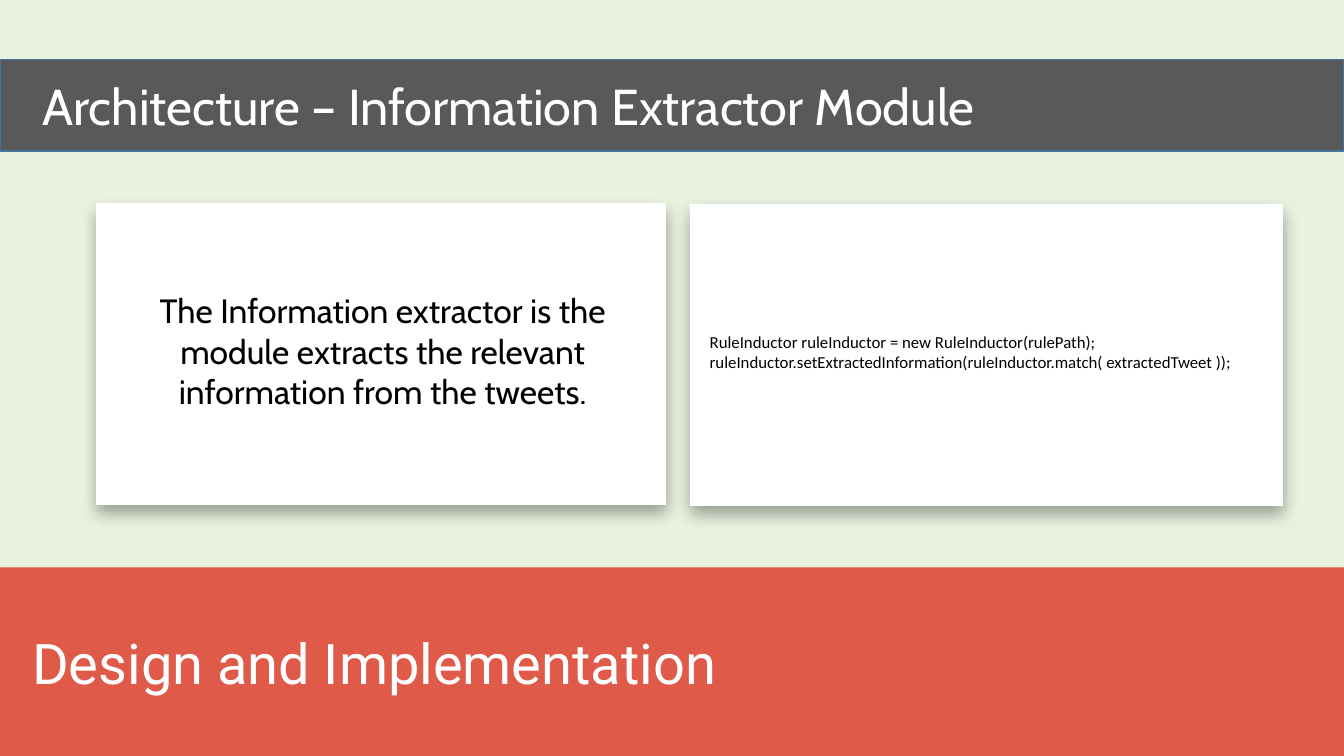
from lxml import etree
from pptx import Presentation
from pptx.dml.color import RGBColor
from pptx.enum.shapes import MSO_SHAPE as Preset
from pptx.enum.text import MSO_ANCHOR as Anchor, PP_ALIGN as Align
from pptx.oxml.ns import qn
from pptx.util import Inches, Pt

PALE_GREEN = RGBColor(0xE9, 0xF1, 0xDF)
CORAL = RGBColor(0xDF, 0x5A, 0x49)
GREY = RGBColor(0x59, 0x59, 0x59)
BLUE = RGBColor(0x43, 0x73, 0x9E)
WHITE = RGBColor(0xFF, 0xFF, 0xFF)
BLACK = RGBColor(0x00, 0x00, 0x00)


def add_rect(shapes, left, top, width, height, fill, line=None, weight=1):
    box = shapes.add_shape(Preset.RECTANGLE, Inches(left), Inches(top),
                           Inches(width), Inches(height))
    box.shadow.inherit = False
    box.fill.solid()
    box.fill.fore_color.rgb = fill
    if line is None:
        box.line.fill.background()
    else:
        box.line.color.rgb = line
        box.line.width = Pt(weight)
    return box


def write(box, lines, font, size, color, align=Align.LEFT, indent=0.1):
    frame = box.text_frame
    settings = {"word_wrap": True, "vertical_anchor": Anchor.MIDDLE,
                "margin_left": Inches(indent), "margin_right": Inches(0.1),
                "margin_top": Inches(0.05), "margin_bottom": Inches(0.05)}
    for name, value in settings.items():
        setattr(frame, name, value)
    for index, line in enumerate(lines):
        para = frame.add_paragraph() if index else frame.paragraphs[0]
        para.alignment = align
        span = para.add_run()
        span.text = line
        for name, value in {"name": font, "size": Pt(size)}.items():
            setattr(span.font, name, value)
        span.font.color.rgb = color


deck = Presentation()
deck.slide_width, deck.slide_height = Inches(13.33), Inches(7.5)
page = deck.slides.add_slide(deck.slide_layouts[6])
page.background.fill.solid()
page.background.fill.fore_color.rgb = PALE_GREEN

# Footer and title bands
footer = add_rect(page.shapes, 0, 5.63, 13.33, 1.87, CORAL)
write(footer, ["Design and Implementation"], "Roboto", 40, WHITE, indent=0.32)
title = add_rect(page.shapes, 0, 0.59, 13.33, 0.91, GREY, BLUE)
write(title, ["Architecture – Information Extractor Module"],
      "Cabin", 36, WHITE, indent=0.42)

# Cards: left, top, width, lines, font, size, alignment
cards = [
    (0.96, 2.02, 5.64,
     ["The Information extractor is the module extracts the relevant "
      "information from the tweets."], "Cabin", 24, Align.CENTER),
    (6.85, 2.03, 5.87,
     ["RuleInductor ruleInductor = new RuleInductor(rulePath);",
      "ruleInductor.setExtractedInformation(ruleInductor.match( extractedTweet ));"],
     "Calibri", 12, Align.LEFT),
]
for left, top, width, lines, font, size, align in cards:
    group = page.shapes.add_group_shape()
    card = add_rect(group.shapes, left, top, width, 2.98, WHITE, WHITE, 0.5)

    # Soft shadow straight below the card
    effects = card.fill._xPr.find(qn("a:effectLst"))
    shadow = etree.SubElement(effects, qn("a:outerShdw"), blurRad=str(Pt(12)),
                              dist=str(Pt(6)), dir="5400000", algn="t",
                              rotWithShape="0")
    tint = etree.SubElement(shadow, qn("a:srgbClr"), val=str(BLACK))
    etree.SubElement(tint, qn("a:alpha"), val="35000")

    label = group.shapes.add_textbox(Inches(left + 0.09), Inches(top + 0.1),
                                     Inches(width - 0.15), Inches(2.72))
    write(label, lines, font, size, BLACK, align)

deck.save("out.pptx")
